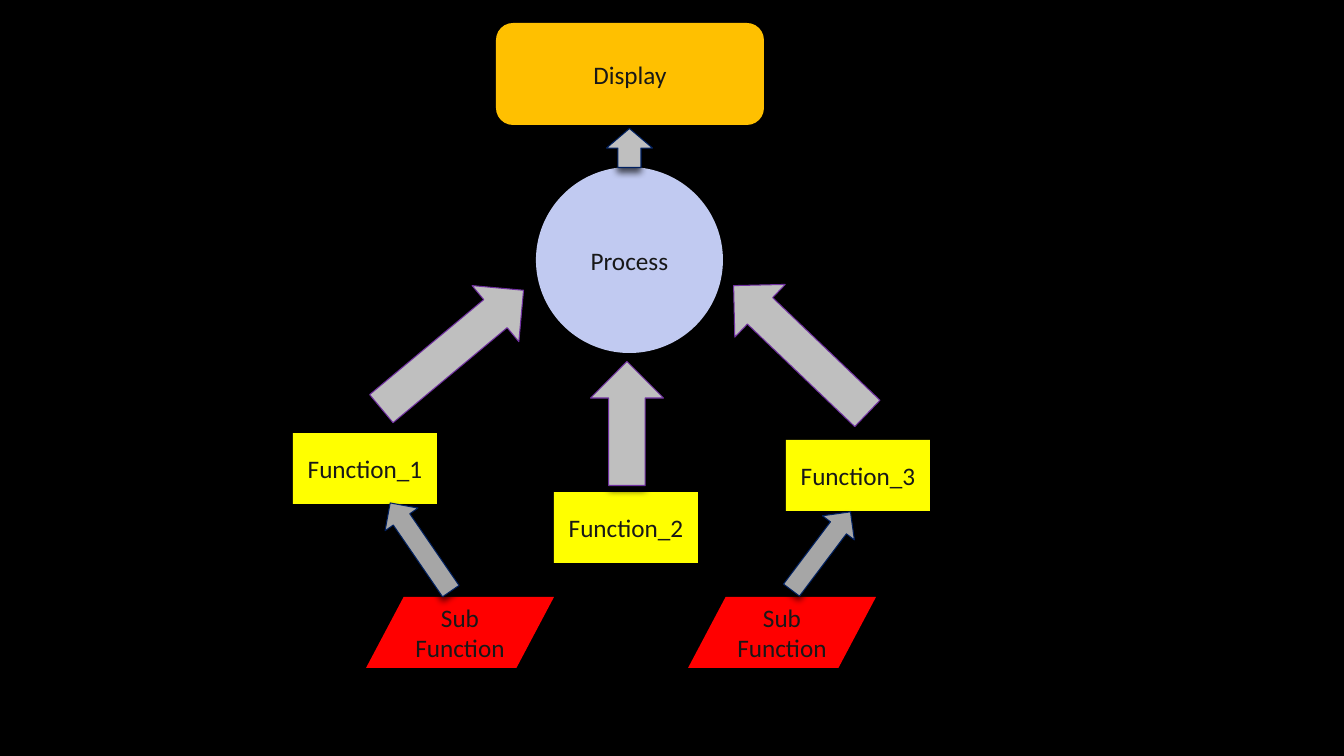
from lxml.etree import SubElement
from pptx import Presentation
from pptx.dml.color import RGBColor
from pptx.enum.shapes import MSO_SHAPE
from pptx.enum.text import MSO_ANCHOR, PP_ALIGN
from pptx.oxml.ns import qn
from pptx.util import Emu, Pt

EMU_PER_PX = 914400 / 100.8
BLANK_LAYOUT = 6
COLORS = {
    "background": "000000",
    "text": "181818",
    "shadow": "000000",
    "display": "FFC000",
    "process": "C1CAF1",
    "function": "FFFF00",
    "sub_function": "FF0000",
    "light_arrow": "BFBFBF",
    "dark_arrow": "A6A6A6",
    "purple_line": "7030A0",
    "navy_line": "002060",
}
FONT_FORMAT = {"name": "Calibri", "size": Pt(18)}
SHADOW_FORMAT = {"blurRad": Pt(5), "dist": Pt(3), "dir": 90 * 60000, "rotWithShape": 0}

# Kind of box: preset, fill, width, height
BOX_KINDS = {
    "display": (MSO_SHAPE.FLOWCHART_ALTERNATE_PROCESS, "display", 268, 102),
    "process": (MSO_SHAPE.OVAL, "process", 187, 186),
    "function": (MSO_SHAPE.RECTANGLE, "function", 144, 71),
    "sub_function": (MSO_SHAPE.FLOWCHART_DATA, "sub_function", 188, 71),
}
# Kind, text, left, top
BOXES = [
    ("function", "Function_1", 293, 433),
    ("process", "Process", 536, 167),
    ("sub_function", "Sub Function", 366, 597),
    ("function", "Function_3", 786, 440),
    ("function", "Function_2", 554, 492),
    ("sub_function", "Sub Function", 688, 597),
    ("display", "Display", 496, 23),
]
# Left, top, width, height before rotation, rotation, fill, line
ARROWS = [
    (360, 313, 185, 73, 320.2, "light_arrow", "purple_line"),
    (565, 387, 124, 73, 270, "light_arrow", "purple_line"),
    (708, 313, 185, 73, 223.7, "light_arrow", "purple_line"),
    (367, 527, 107, 40, 235.5, "dark_arrow", "navy_line"),
    (772, 531, 98, 40, 307, "dark_arrow", "navy_line"),
    (610, 125, 39, 46, 270, "light_arrow", "navy_line"),
]


def px(length):
    return Emu(round(length * EMU_PER_PX))


def color(name):
    return RGBColor.from_string(COLORS[name])


def add_shadow(shape):
    shape.shadow.inherit = False
    effects = shape._element.spPr.find(qn("a:effectLst"))
    shadow = SubElement(effects, qn("a:outerShdw"))
    for key, value in SHADOW_FORMAT.items():
        shadow.set(key, str(value))
    shade = SubElement(shadow, qn("a:srgbClr"), val=COLORS["shadow"])
    SubElement(shade, qn("a:alpha"), val="65000")


def add_filled_shape(slide, preset, left, top, width, height, fill):
    shape = slide.shapes.add_shape(preset, px(left), px(top), px(width), px(height))
    shape.fill.solid()
    shape.fill.fore_color.rgb = color(fill)
    add_shadow(shape)
    return shape


def add_box(slide, kind, text, left, top):
    preset, fill, width, height = BOX_KINDS[kind]
    shape = add_filled_shape(slide, preset, left, top, width, height, fill)
    shape.line.fill.background()
    frame = shape.text_frame
    frame.word_wrap = True
    frame.vertical_anchor = MSO_ANCHOR.MIDDLE
    paragraph = frame.paragraphs[0]
    paragraph.alignment = PP_ALIGN.CENTER
    run = paragraph.add_run()
    run.text = text
    for name, value in FONT_FORMAT.items():
        setattr(run.font, name, value)
    run.font.color.rgb = color("text")


def add_arrow(slide, left, top, width, height, rotation, fill, line):
    shape = add_filled_shape(slide, MSO_SHAPE.RIGHT_ARROW, left, top, width, height, fill)
    shape.rotation = rotation
    shape.line.color.rgb = color(line)
    shape.line.width = Pt(0.75)


def main():
    presentation = Presentation()
    presentation.slide_width, presentation.slide_height = px(1344), px(756)
    slide = presentation.slides.add_slide(presentation.slide_layouts[BLANK_LAYOUT])
    slide.background.fill.solid()
    slide.background.fill.fore_color.rgb = color("background")

    # Flow chart boxes
    for box in BOXES:
        add_box(slide, *box)

    # Arrows leading up to the display
    for arrow in ARROWS:
        add_arrow(slide, *arrow)

    presentation.save("out.pptx")


if __name__ == "__main__":
    main()
